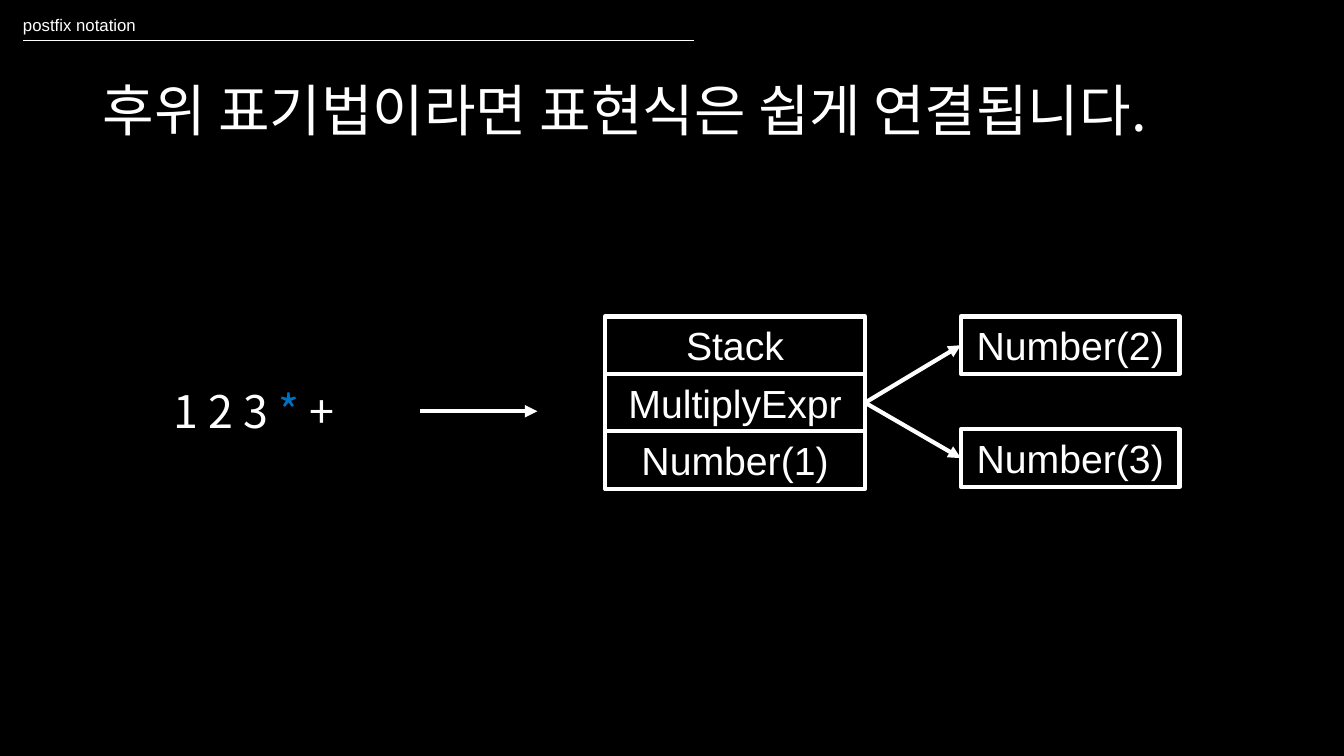
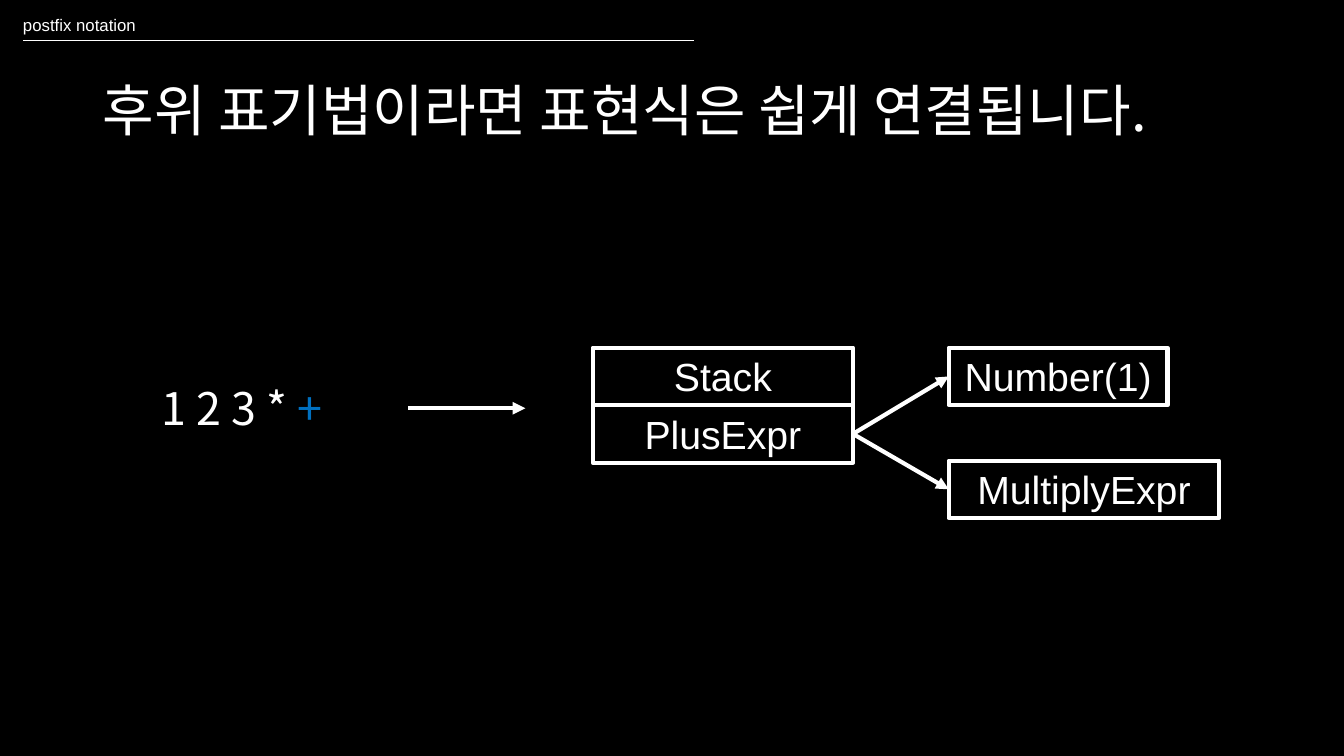
from lxml import etree
from pptx import Presentation
from pptx import util as u
from pptx.dml.color import RGBColor
from pptx.enum import shapes, text
from pptx.oxml.ns import qn

C = {"bg": "000000", "fg": "FFFFFF", "mark": "0070C0"}
SANS, KOREAN = "Arial", "Noto Sans CJK KR"
TITLE = "후위 표기법이라면 표현식은 쉽게 연결됩니다."
BOX_H, STACK_W = 0.57, 2.58

SLIDES = [
    {"x": 6, "y": 3.14, "mid": 4.08,
     "expr": [("1 2 3 ", "fg"), ("*", "mark"), (" +", "fg")],
     "stack": ["Stack", "MultiplyExpr", "Number(1)"],
     "operands": [("Number(2)", 2.17), ("Number(3)", 2.17)]},
    {"x": 5.88, "y": 3.45, "mid": 4.05,
     "expr": [("1 2 3 * ", "fg"), ("+", "mark")],
     "stack": ["Stack", "PlusExpr"],
     "operands": [("Number(1)", 2.17), ("MultiplyExpr", 2.68)]},
]


def write(sp, runs, size, font, align=text.PP_ALIGN.LEFT, **frame):
    tf = sp.text_frame
    for name, value in frame.items():
        setattr(tf, name, value)
    p = tf.paragraphs[0]
    p.alignment = align
    for words, color in runs:
        r = p.add_run()
        r.text = words
        for name, value in {"size": u.Pt(size), "name": font}.items():
            setattr(r.font, name, value)
        r.font.color.rgb = RGBColor.from_string(C[color])
        etree.SubElement(r._r.get_or_add_rPr(), qn("a:ea"), typeface=font)
    return p


def connect(s, x1, y1, x2, y2, width=3, arrow=True):
    cx = s.shapes.add_connector(shapes.MSO_CONNECTOR.STRAIGHT,
                                *map(u.Inches, (x1, y1, x2, y2)))
    cx.line.width = u.Pt(width)
    cx.line.color.rgb = RGBColor.from_string(C["fg"])
    sppr = cx._element.spPr
    if arrow:
        etree.SubElement(sppr.find(qn("a:ln")), qn("a:tailEnd"), type="triangle")
    etree.SubElement(sppr, qn("a:effectLst"))
    return cx


prs = Presentation()
prs.slide_width, prs.slide_height = u.Inches(13.33), u.Inches(7.5)
FIT = text.MSO_AUTO_SIZE.SHAPE_TO_FIT_TEXT
CENTER = text.PP_ALIGN.CENTER

for d in SLIDES:
    s = prs.slides.add_slide(prs.slide_layouts[5])
    fill = s.background.fill
    fill.solid()
    fill.fore_color.rgb = RGBColor.from_string(C["bg"])

    title = s.shapes.title
    for name, value in {"left": 0.92, "top": 0.4, "width": 11.5, "height": 1.45}.items():
        setattr(title, name, u.Inches(value))
    p = write(title, [(TITLE, "fg")], 40, KOREAN, word_wrap=True,
              auto_size=text.MSO_AUTO_SIZE.NONE,
              vertical_anchor=text.MSO_ANCHOR.MIDDLE)
    p.line_spacing = 0.9

    label = s.shapes.add_textbox(*map(u.Inches, (0.13, 0.1, 2.43, 0.3)))
    write(label, [("postfix notation", "fg")], 12, SANS, word_wrap=True, auto_size=FIT)
    connect(s, 0.23, 0.4, 6.88, 0.4, width=0.5, arrow=False)

    x, y, mid = d["x"], d["y"], d["mid"]
    expr = s.shapes.add_textbox(*map(u.Inches, (x - 4.57, mid - 0.32, 2.18, 0.64)))
    write(expr, d["expr"], 32, KOREAN, CENTER, word_wrap=False, auto_size=FIT)
    connect(s, x - 1.83, mid, x - 0.67, mid)

    cells = [(words, x, y + i * BOX_H, STACK_W) for i, words in enumerate(d["stack"])]
    cells += [(words, x + 3.53, y + i * 1.12, w)
              for i, (words, w) in enumerate(d["operands"])]
    boxes = []
    for words, left, top, width in cells:
        sp = s.shapes.add_shape(shapes.MSO_SHAPE.RECTANGLE,
                                *map(u.Inches, (left, top, width, BOX_H)))
        sp.shadow.inherit = False
        sp.fill.background()
        sp.line.width = u.Pt(3)
        sp.line.color.rgb = RGBColor.from_string(C["fg"])
        write(sp, [(words, "fg")], 28, SANS, CENTER, word_wrap=True, auto_size=FIT,
              vertical_anchor=text.MSO_ANCHOR.TOP)
        boxes.append(sp)

    for operand in boxes[len(d["stack"]):]:
        cx = connect(s, x + STACK_W, y, x + 3.53, y)
        cx.begin_connect(boxes[1], 3)
        cx.end_connect(operand, 1)

prs.save("out.pptx")
